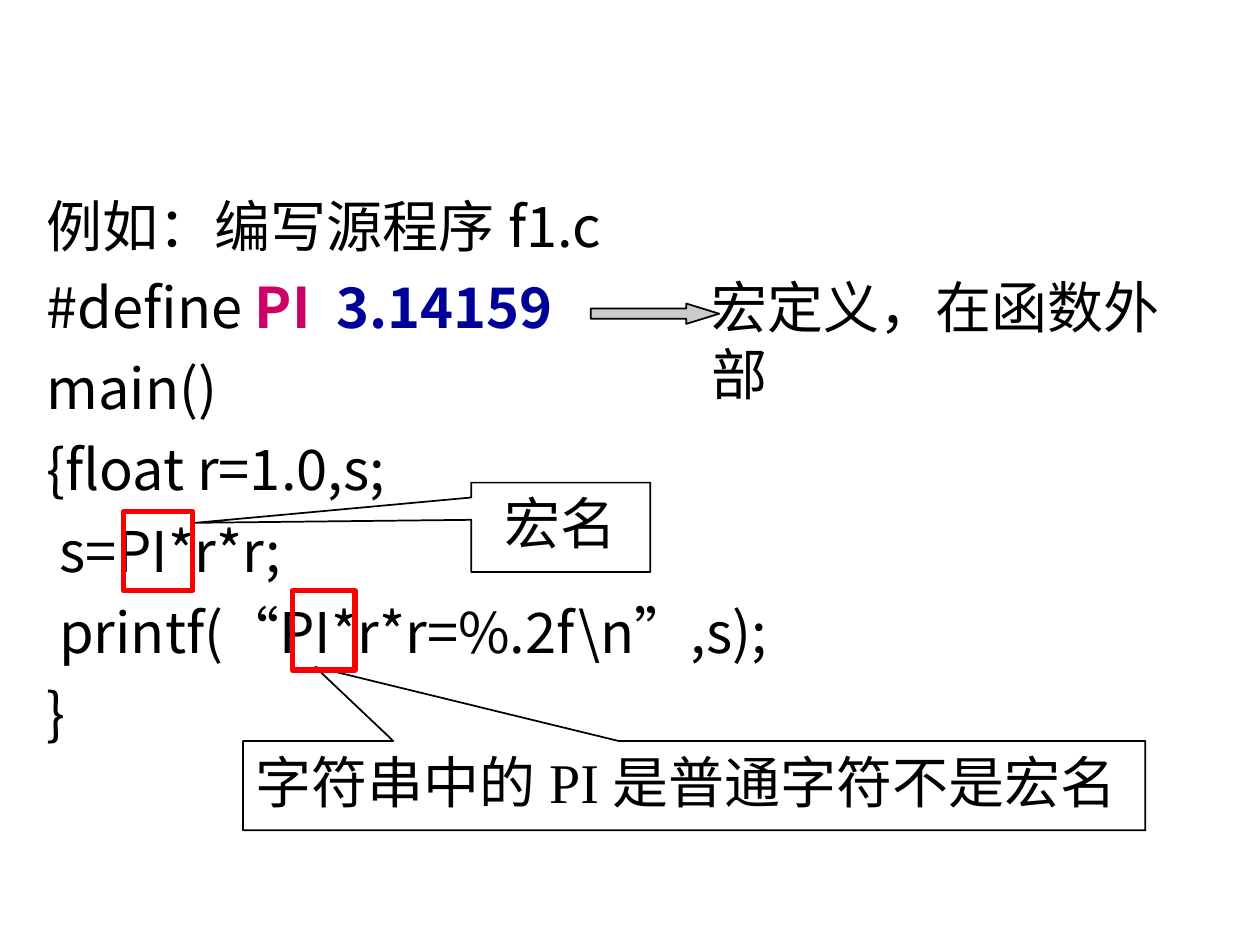
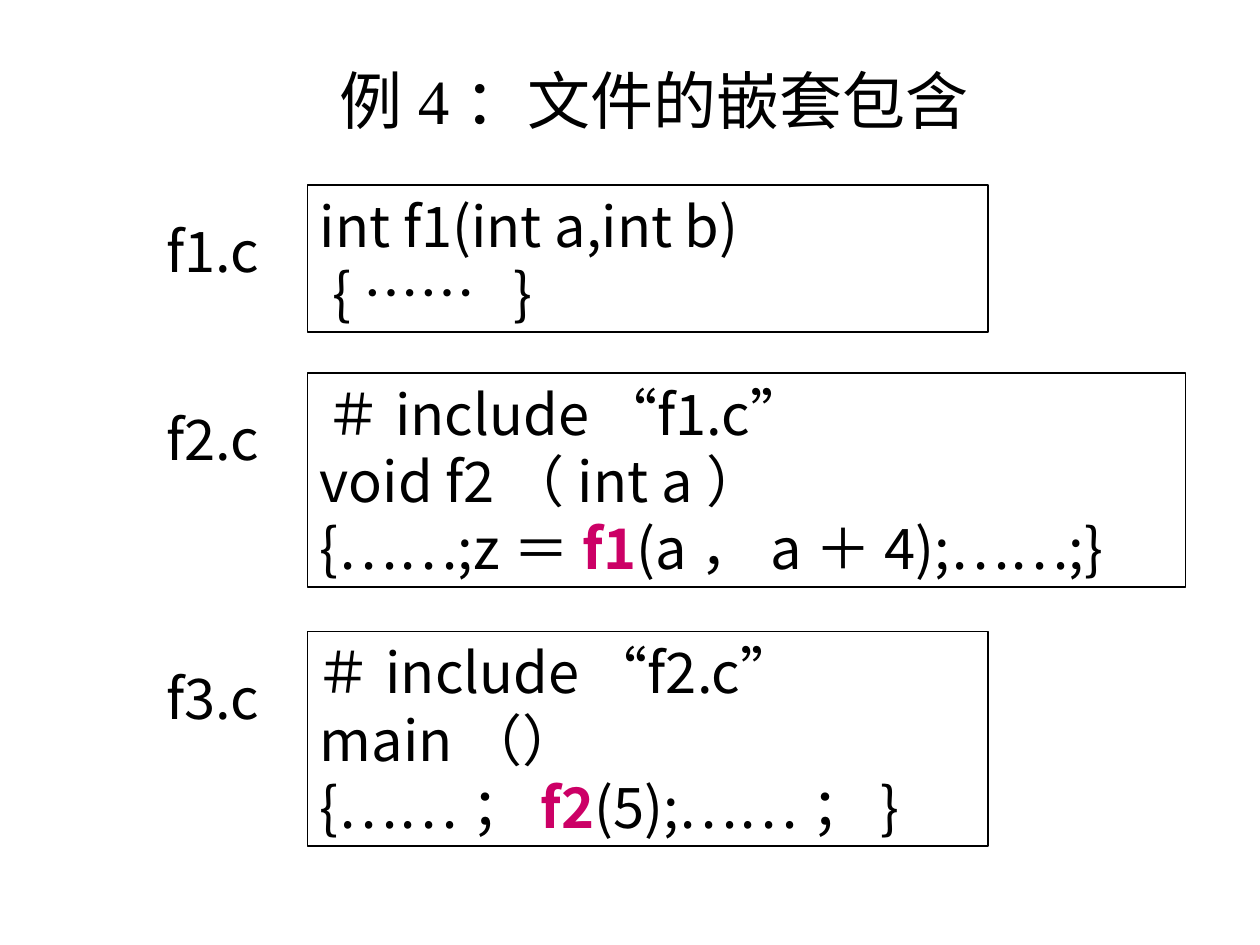
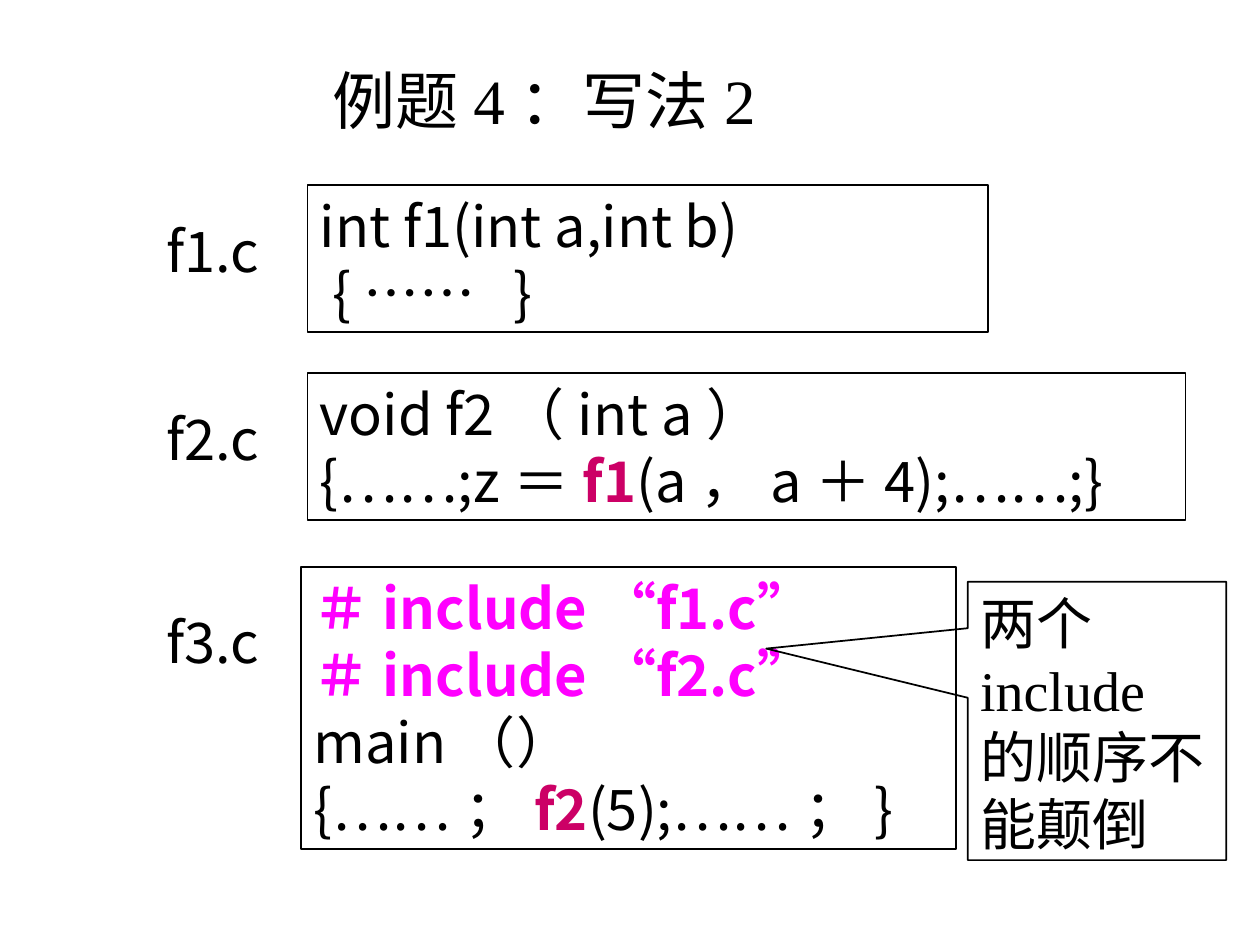
from pptx import Presentation
from pptx.dml.color import RGBColor
from pptx.enum.shapes import MSO_SHAPE
from pptx.enum.text import MSO_ANCHOR, PP_ALIGN
from pptx.util import Cm, Pt

SANS, SERIF = "Noto Sans CJK SC", "Times New Roman"
BLACK, RED, GREY = "000000", "FF0000", "CBCBCB"
CRIMSON, NAVY, MAGENTA = "CC0066", "000099", "FF00FF"


def write(sp, lines, font=SANS, size=32, before=0, wrap=True):
    """Fill a shape; a line is a string or a list of (text, bold colour or None)."""
    tf = sp.text_frame
    tf.word_wrap = wrap
    tf.vertical_anchor = MSO_ANCHOR.TOP
    for i, line in enumerate(lines):
        p = tf.paragraphs[0] if i == 0 else tf.add_paragraph()
        p.alignment = PP_ALIGN.LEFT
        if i and before:
            p.space_before = Pt(before)
        p.font.name, p.font.size = font, Pt(size)
        p.font.color.rgb = RGBColor.from_string(BLACK)
        for text, color in [(line, None)] if isinstance(line, str) else line:
            r = p.add_run()
            r.text = text
            if color:
                r.font.bold = True
                r.font.color.rgb = RGBColor.from_string(color)
    return tf


def outline(s, kind, box, color=BLACK, width=1, adjust=()):
    """Add an unfilled preset shape with a plain line."""
    sp = s.shapes.add_shape(kind, *map(Cm, box))
    sp.shadow.inherit = False
    sp.fill.background()
    sp.line.color.rgb = RGBColor.from_string(color)
    sp.line.width = Pt(width)
    for i, value in enumerate(adjust):
        sp.adjustments[i] = value
    return sp


prs = Presentation()
prs.slide_width, prs.slide_height = Cm(25.4), Cm(19.05)
blank = prs.slide_layouts[6]

# Slide 1: macro definition in a source program
s = prs.slides.add_slide(blank)
program = [
    "例如：编写源程序f1.c",
    [("#define ", None), ("PI  ", CRIMSON), ("3.14159", NAVY)],
    "main()",
    "{float r=1.0,s;",
    " s=PI*r*r;",
    " printf(“PI*r*r=%.2f\\n”,s);",
    "}",
]
write(s.shapes.add_textbox(Cm(0.69), Cm(3.73), Cm(24.13), Cm(14.17)), program, before=8)

# Arrow and remark beside the definition
arrow = outline(s, MSO_SHAPE.RIGHT_ARROW, (11.91, 6.12, 2.59, 0.41), adjust=(0.5, 1.62))
arrow.fill.solid()
arrow.fill.fore_color.rgb = RGBColor.from_string(GREY)
write(s.shapes.add_textbox(Cm(14.1), Cm(5.36), Cm(10.67), Cm(1.63)),
      ["宏定义，在函数外部"], SERIF, wrap=False)

# Callouts with the red frames they point at
for text, align, box, tip, frame in [
    ("宏名", PP_ALIGN.CENTER, (9.5, 9.73, 3.61, 1.8), (-2.04, -0.05),
     (2.49, 10.31, 1.4, 1.6)),
    ("字符串中的PI是普通字符不是宏名", PP_ALIGN.LEFT, (4.9, 14.94, 18.19, 1.8),
     (-0.42, -1.33), (5.89, 11.91, 1.27, 1.6)),
]:
    callout = outline(s, MSO_SHAPE.RECTANGULAR_CALLOUT, box, adjust=tip)
    write(callout, [text], SERIF).paragraphs[0].alignment = align
    outline(s, MSO_SHAPE.RECTANGLE, frame, RED, 3)

# Slides 2 and 3: nested file inclusion, written in two ways
f1 = ["int f1(int a,int b)", " { ……   }"]
f2 = ["void f2（int a）", [("{……;z＝", None), ("f1", CRIMSON), ("(a，a＋4);……;}", None)]]
f3 = ["main（）", [("{……；", None), ("f2", CRIMSON), ("(5);……；}", None)]]
includes = ["＃include “f1.c”", "＃include “f2.c”"]
f1_box = (6.2, 3.73, 13.72, 2.97)

# Each file: code box, code, drop of its name below the box top
nested = [
    (f1_box, f1, 0.52),
    ((6.2, 7.52, 17.7, 4.32), f2, 0.52),
    ((6.2, 12.73, 13.72, 4.32), f3, 0.52),
]
ordered = [
    (f1_box, f1, 0.52),
    ((6.2, 7.52, 17.7, 2.97), f2, 0.52),
    ((6.07, 11.43, 13.21, 5.69), [[(line, MAGENTA)] for line in includes] + f3, 0.69),
]
for title, title_left, title_width, files in [
    ("例4：文件的嵌套包含", 6.6, 13.18, nested),
    ("例题4：写法2", 6.45, 9.04, ordered),
]:
    s = prs.slides.add_slide(blank)
    write(s.shapes.add_textbox(Cm(title_left), Cm(1.12), Cm(title_width), Cm(1.78)),
          [title], SERIF, 36, wrap=False)
    for n, (box, code, drop) in enumerate(files, 1):
        tf = write(outline(s, MSO_SHAPE.RECTANGLE, box), code)
        if files is nested:
            tf.vertical_anchor = MSO_ANCHOR.BOTTOM
        write(s.shapes.add_textbox(Cm(3.1), Cm(box[1] + drop), Cm(2.87), Cm(1.63)),
              [f"f{n}.c"])

    if files is nested:
        # Include lines at the top of the second and third boxes
        for line, left, (box, _, _) in zip(includes, (6.32, 6.12), nested[1:]):
            write(s.shapes.add_textbox(Cm(left), Cm(box[1]), Cm(10.21), Cm(1.63)),
                  [line], wrap=False)
    else:
        # Note on the order of the include lines
        callout = outline(s, MSO_SHAPE.RECTANGULAR_CALLOUT, (19.51, 11.73, 5.21, 5.61),
                          adjust=(-1.28, -0.26))
        write(callout, ["两个include的顺序不能颠倒"], SERIF)

prs.save("out.pptx")
